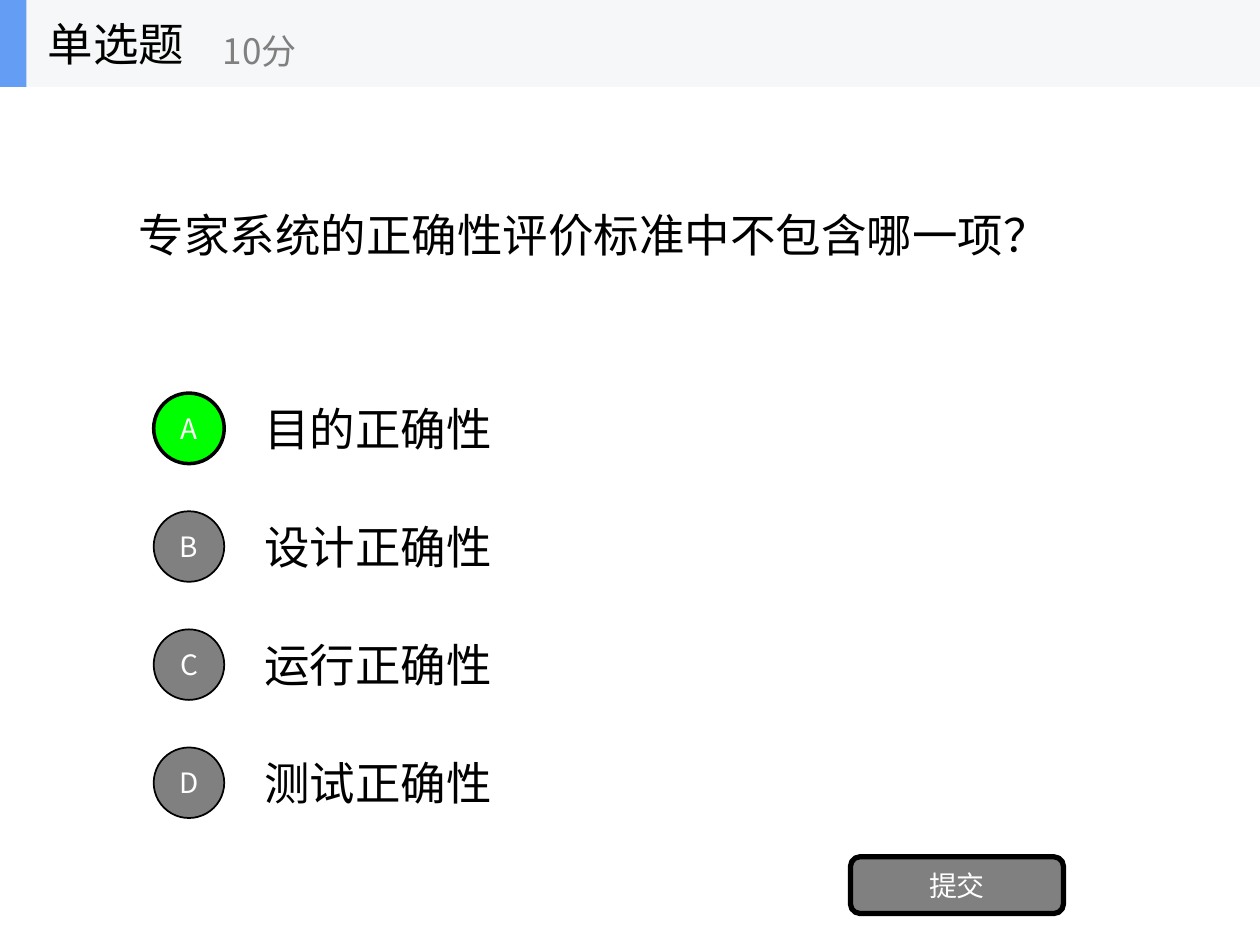
from lxml import etree
from pptx import Presentation
from pptx.dml.color import RGBColor
from pptx.enum.shapes import MSO_SHAPE
from pptx.enum.text import MSO_ANCHOR, MSO_AUTO_SIZE, PP_ALIGN
from pptx.oxml.ns import qn
from pptx.util import Inches, Pt

RECT, OVAL, ROUND = MSO_SHAPE.RECTANGLE, MSO_SHAPE.OVAL, MSO_SHAPE.ROUNDED_RECTANGLE
LEFT, CENTER = PP_ALIGN.LEFT, PP_ALIGN.CENTER
MIDDLE, FIXED = MSO_ANCHOR.MIDDLE, MSO_AUTO_SIZE.NONE

KIND = "单选题"
SCORE = "10分"
QUERY = "专家系统的正确性评价标准中不包含哪一项？"
CHOICES = [
    ("A", "目的正确性"),
    ("B", "设计正确性"),
    ("C", "运行正确性"),
    ("D", "测试正确性"),
]
PICKED = "A"
SUBMIT = "提交"

COLORS = {
    "ink": "000000",
    "paper": "FFFFFF",
    "gray": "808080",
    "green": "00FF00",
    "band": "F6F7F8",
    "blue": "639EF4",
}
FONT = "Noto Sans CJK SC"
WIDE, HIGH = 10, 7.5
HEAD = 0.69
FIRST, STEP = HIGH * 0.4067, HIGH / 8
ROW, DOT = 0.7, 0.56


def color(name):
    return RGBColor.from_string(COLORS[name])


def write(shape, text, size, ink, align=LEFT):
    frame = shape.text_frame
    form = {"word_wrap": True, "auto_size": FIXED, "vertical_anchor": MIDDLE}
    for key, value in form.items():
        setattr(frame, key, value)
    para = frame.paragraphs[0]
    para.alignment = align
    run = para.add_run()
    run.text = text
    for key, value in {"name": FONT, "size": Pt(size)}.items():
        setattr(run.font, key, value)
    run.font.color.rgb = color(ink)
    east = etree.SubElement(run._r.get_or_add_rPr(), qn("a:ea"))
    east.set("typeface", FONT)


def label(shapes, box, text, size=26, ink="ink"):
    write(shapes.add_textbox(*map(Inches, box)), text, size, ink)


def block(shapes, kind, box, fill, line=0):
    shape = shapes.add_shape(kind, *map(Inches, box))
    shape.shadow.inherit = False
    shape.fill.solid()
    shape.fill.fore_color.rgb = color(fill)
    if line:
        shape.line.color.rgb = color("ink")
        shape.line.width = Pt(line)
    else:
        shape.line.fill.background()
    return shape


def main():
    deck = Presentation()
    deck.slide_width, deck.slide_height = Inches(WIDE), Inches(HIGH)
    slide = deck.slides.add_slide(deck.slide_layouts[5])
    shapes = slide.shapes

    title = shapes.title
    place = {"left": 0.1 * WIDE, "top": HEAD, "width": 0.8 * WIDE, "height": 2.34}
    for key, value in place.items():
        setattr(title, key, Inches(value))
    write(title, QUERY, 26, "ink")

    for i, (mark, text) in enumerate(CHOICES):
        top = FIRST + i * STEP
        label(shapes, (0.2 * WIDE, top, 0.7 * WIDE, ROW), text)
        hit = mark == PICKED
        box = (1.22, top + (ROW - DOT) / 2, DOT, DOT)
        dot = block(shapes, OVAL, box, "green" if hit else "gray", 2 if hit else 1)
        write(dot, mark, 16, "paper", CENTER)

    button = block(shapes, ROUND, (6.75, 6.8, 1.69, 0.45), "gray", 3)
    write(button, SUBMIT, 16, "paper", CENTER)

    head = shapes.add_group_shape().shapes
    block(head, RECT, (0, 0, WIDE, HEAD), "band")
    block(head, RECT, (0, 0, 0.21, HEAD), "blue")
    label(head, (0.28, 0, 2.08, HEAD), KIND)
    label(head, (1.67, 0.12, 2.5, 0.56), SCORE, 20, "gray")

    deck.save("out.pptx")


if __name__ == "__main__":
    main()
